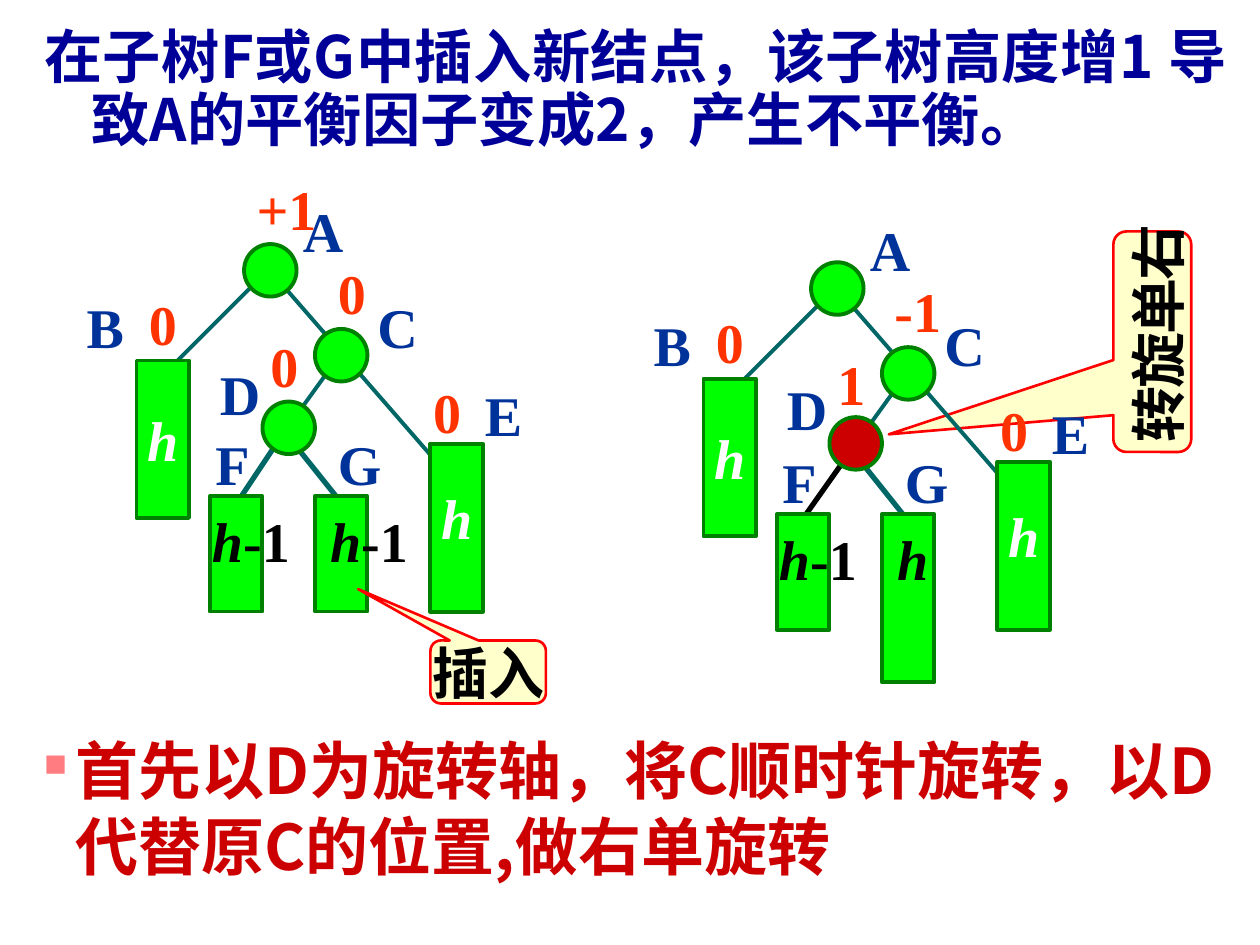
from lxml import etree
from pptx import Presentation
from pptx import util as u
from pptx.dml import color
from pptx.enum import shapes, text
from pptx.oxml import ns

SANS = "Noto Sans CJK SC"
SERIF = "Times New Roman"
GREEN, DARK_GREEN, TEAL = "00FF00", "008000", "006666"
NAVY, ORANGE, RED, BLACK, WHITE = "003399", "FF3300", "CC0000", "000000", "FFFFFF"
NODE = 30
LABEL_HEIGHT = 46
LETTERS = {
    "A": (166, 109, 37.5), "B": (42.5, 163.5, 35.5), "C": (208.5, 163.5, 37.5),
    "E": (270, 214, 35.5), "F": (116, 242, 34), "G": (186, 242, 39),
}


def rgb(value):
    return color.RGBColor.from_string(value)


def add_element(parent, tag, **attributes):
    return etree.SubElement(parent, ns.qn(tag), attributes)


def add_span(para, content, size=32, font=SERIF, fill=BLACK, italic=False):
    span = para.add_run()
    span.text = content
    span.font.size = u.Pt(size)
    span.font.name = font
    span.font.bold = True
    span.font.italic = italic
    span.font.color.rgb = rgb(fill)
    if font == SANS:
        add_element(span.font._element, "a:ea", typeface=font)


def place(box, left, top, width, height):
    box.left, box.top = u.Pt(left), u.Pt(top)
    box.width, box.height = u.Pt(width), u.Pt(height)


def set_indent(para, margin, first):
    properties = para._p.get_or_add_pPr()
    properties.set("marL", str(u.Pt(margin)))
    properties.set("indent", str(u.Pt(first)))
    return properties


def add_title(page, content):
    box = page.shapes.title
    place(box, 18, 12, 690, 108)
    frame = box.text_frame
    frame.word_wrap = True
    frame.auto_size = text.MSO_AUTO_SIZE.NONE
    frame.vertical_anchor = text.MSO_ANCHOR.TOP
    para = frame.paragraphs[0]
    para.alignment = text.PP_ALIGN.JUSTIFY
    para.line_spacing = u.Pt(36)
    set_indent(para, 27, -27)
    add_span(para, content, size=33.3, font=SANS, fill="000099")


def add_bullet_text(page, content):
    box = page.shapes.add_textbox(u.Pt(18), u.Pt(414), u.Pt(684), u.Pt(94))
    box.text_frame.word_wrap = True
    para = box.text_frame.paragraphs[0]
    para.line_spacing = u.Pt(43.5)
    properties = set_indent(para, 18, -18)
    bullet_color = add_element(properties, "a:buClr")
    add_element(bullet_color, "a:srgbClr", val="FF7C80")
    add_element(properties, "a:buSzPct", val="50000")
    add_element(properties, "a:buChar", char="■")
    add_span(para, content, size=36, font=SANS, fill=RED)


def add_figure(parent, kind, left, top, width, height, fill=GREEN, line=DARK_GREEN, weight=2.25):
    box = parent.add_shape(kind, u.Pt(left), u.Pt(top), u.Pt(width), u.Pt(height))
    box.shadow.inherit = False
    box.fill.solid()
    box.fill.fore_color.rgb = rgb(fill)
    box.line.color.rgb = rgb(line)
    box.line.width = u.Pt(weight)
    return box


def write_centered(box, lines, spacing=None, **style):
    frame = box.text_frame
    frame.word_wrap = False
    frame.vertical_anchor = text.MSO_ANCHOR.MIDDLE
    for index, content in enumerate(lines):
        para = frame.add_paragraph() if index else frame.paragraphs[0]
        para.alignment = text.PP_ALIGN.CENTER
        if spacing:
            para.line_spacing = spacing
        add_span(para, content, **style)


def add_callout(page, bounds, tip, lines, spacing=None):
    kind = shapes.MSO_SHAPE.ROUNDED_RECTANGULAR_CALLOUT
    box = add_figure(page.shapes, kind, *bounds, fill="FFFFCC", line="FF0000", weight=1.5)
    box.adjustments[0], box.adjustments[1] = tip
    write_centered(box, lines, spacing)
    return box


def add_rotation_callout(page):
    box = add_callout(page, (595.5, 173, 126, 44.5), (-0.42, -3.383), "右单旋转", 0.8)
    box.rotation = 270
    frame = box.text_frame
    frame.margin_left = frame.margin_right = u.Pt(3.6)
    frame.margin_top = frame.margin_bottom = u.Pt(7.2)
    frame._txBody.bodyPr.set("vert", "eaVert")


def add_label(parent, left, top, width, content, fill, height=""):
    box = parent.add_textbox(u.Pt(left), u.Pt(top), u.Pt(width), u.Pt(LABEL_HEIGHT))
    box.text_frame.word_wrap = False
    box.text_frame.auto_size = text.MSO_AUTO_SIZE.SHAPE_TO_FIT_TEXT
    para = box.text_frame.paragraphs[0]
    if height:
        add_span(para, height, fill=fill, italic=True)
    if content:
        add_span(para, content, fill=fill)


def add_edge(parent, start, end, weight=2.25, fill=TEAL):
    points = [u.Pt(value) for value in (*start, *end)]
    edge = parent.add_connector(shapes.MSO_CONNECTOR.STRAIGHT, *points)
    edge.line.color.rgb = rgb(fill)
    edge.line.width = u.Pt(weight)
    add_element(edge._element.spPr, "a:effectLst")


def add_tree(page, dx, dy, balances, d_top, d_label_top, d_fill, f_edge, g_height, g_extra):
    parent = page.shapes.add_group_shape().shapes

    def at(x, y):
        return x + dx, y + dy

    f_end, f_color = f_edge
    edges = [
        ((144, 163.5), (90, 217.5), 2.25, TEAL),
        ((162, 163.5), (246, 260), 2.25, TEAL),
        ((188, 211.5), (162, 247.5), 2.25, TEAL),
        ((162, 247.5), f_end, 3, f_color),
        ((168, 253.5), (192, 283.5), 3, TEAL),
    ]
    for start, end, weight, fill in edges:
        add_edge(parent, at(*start), at(*end), weight, fill)

    subtrees = [
        (78, 206, 90, "h", None),
        (246, 253.5, 96, "h", 0.6),
        (120, 283.5, 66, "", None),
        (180, 283.5, g_height, "", None),
    ]
    for x, y, height, content, spacing in subtrees:
        box = add_figure(parent, shapes.MSO_SHAPE.RECTANGLE, *at(x, y), NODE, height)
        if content:
            write_centered(box, [content], spacing, fill=WHITE, italic=True)

    for x, y, fill in [(139.5, 139.5, GREEN), (180, 188, GREEN), (150, d_top, d_fill)]:
        add_figure(parent, shapes.MSO_SHAPE.OVAL, *at(x, y), NODE, NODE, fill=fill)

    for letter, (x, y, width) in {**LETTERS, "D": (118.5, d_label_top, 37.5)}.items():
        add_label(parent, *at(x, y), width, letter, NAVY)
    for x, y, width, content in balances:
        add_label(parent, *at(x, y), width, content, ORANGE)
    add_label(parent, *at(114, 286), 59, "-1", BLACK, height="h")
    add_label(parent, *at(181.5, 286), 59 if g_extra else 32, g_extra, BLACK, height="h")


def main():
    deck = Presentation()
    deck.slide_width, deck.slide_height = u.Pt(720), u.Pt(540)
    page = deck.slides.add_slide(deck.slide_layouts[5])
    add_title(page, "在子树F或G中插入新结点，该子树高度增1 导致A的平衡因子变成2，产生不平衡。")
    add_bullet_text(page, "首先以D为旋转轴，将C顺时针旋转，以D代替原C的位置,做右单旋转")
    add_rotation_callout(page)

    outer = [(78, 162, 30, "0"), (240.5, 212, 30, "0")]
    before = outer + [(139.5, 96, 54, "+1"), (186, 144, 30, "0"), (147.5, 186, 30, "0")]
    after = outer + [(180, 144, 41, "-1"), (147.5, 186, 30, "1")]
    add_tree(page, 0, 0, before, d_top=229.5, d_label_top=202, d_fill=GREEN,
             f_edge=((138, 283.5), TEAL), g_height=66, g_extra="-1")
    add_tree(page, 324, 10.4, after, d_top=228, d_label_top=200, d_fill=RED,
             f_edge=((132, 290), BLACK), g_height=96, g_extra="")
    add_callout(page, (246, 366, 66, 36), (-1.127, -1.316), ["插入"])
    deck.save("out.pptx")


if __name__ == "__main__":
    main()
